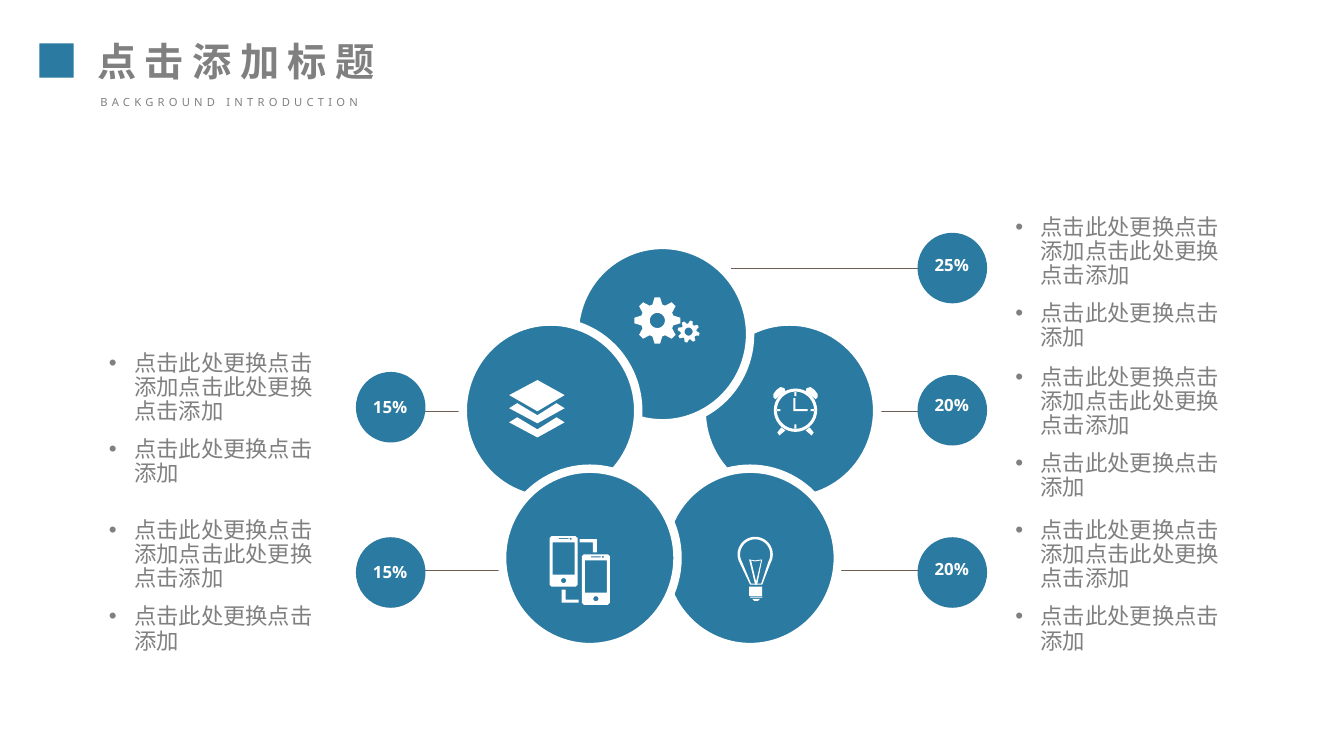
from math import cos, sin, pi, radians
from lxml.etree import SubElement
from pptx import Presentation
from pptx.dml.color import RGBColor
from pptx.enum.shapes import MSO_CONNECTOR as Conn, MSO_SHAPE as Kind
from pptx.enum.text import MSO_ANCHOR as Anchor, PP_ALIGN as Align
from pptx.oxml.ns import qn
from pptx.util import Pt

PX = 9144
BLUE = RGBColor(0x2B, 0x7A, 0xA1)
GRAY = RGBColor(0x80, 0x80, 0x80)
BROWN = RGBColor(0x70, 0x5E, 0x52)
WHITE = RGBColor(0xFF, 0xFF, 0xFF)
FONT = "Noto Sans"
NOTES = ["点击此处更换点击添加点击此处更换点击添加", "点击此处更换点击添加"]


def emu(*sizes):
    return [round(size * PX) for size in sizes]


def text(slide, box, lines, size, color=GRAY, bold=False, track=0,
         align=Align.CENTER, inset=(10, 5), bullet=False):
    frame = slide.shapes.add_textbox(*emu(*box)).text_frame
    frame.word_wrap = True
    frame.vertical_anchor = Anchor.TOP
    frame.margin_left = frame.margin_right = inset[0] * PX
    frame.margin_top = frame.margin_bottom = inset[1] * PX
    for i, line in enumerate(lines):
        para = frame.paragraphs[0] if i == 0 else frame.add_paragraph()
        if bullet:
            props = para._p.get_or_add_pPr()
            props.set("marL", str(25 * PX))
            props.set("indent", str(-25 * PX))
            SubElement(props, qn("a:buFont")).set("typeface", "Arial")
            SubElement(props, qn("a:buChar")).set("char", "•")
            para.line_spacing = 0.9
            para.space_before = Pt(10 if i else 0)
        para.alignment = align
        run = para.add_run()
        run.text = line
        font = run.font
        font.size, font.bold, font.name = Pt(size), bold, FONT
        font.color.rgb = color
        mark = run._r.get_or_add_rPr()
        SubElement(mark, qn("a:ea")).set("typeface", FONT)
        if track:
            mark.set("spc", str(track * 100))


def paint(shape, fill, edge=0):
    shape.shadow.inherit = False
    shape.fill.solid()
    shape.fill.fore_color.rgb = fill
    if edge:
        shape.line.color.rgb = WHITE
        shape.line.width = Pt(edge)
    else:
        shape.line.fill.background()


def solid(slide, kind, box, edge=0):
    paint(slide.shapes.add_shape(kind, *emu(*box)), BLUE, edge)


def rule(slide, x, end, y):
    line = slide.shapes.add_connector(Conn.STRAIGHT, *emu(x, y, end, y))
    line.line.color.rgb = BROWN
    line.line.width = Pt(0.5)
    SubElement(line._element.spPr, qn("a:effectLst"))


def glyph(slide, x, y, *loops):
    loops = [[emu(x + a, y + b) for a, b in loop] for loop in loops]
    pen = slide.shapes.build_freeform(*loops[0][0])
    for i, loop in enumerate(loops):
        if i:
            pen.move_to(*loop[0])
        pen.add_line_segments(loop[1:], close=True)
    paint(pen.convert_to_shape(), WHITE)


def arc(x, y, r, start=0, end=360, step=10):
    return [(x + r * cos(radians(a)), y + r * sin(radians(a)))
            for a in range(start, end + 1, step)]


def rect(x, y, w, h, cut=0):
    return [(x + cut, y), (x + w - cut, y), (x + w, y + cut),
            (x + w, y + h - cut), (x + w - cut, y + h), (x + cut, y + h),
            (x, y + h - cut), (x, y + cut)]


def cog(x, y, r, turn):
    teeth = [(-0.3, 0.72), (-0.12, 1), (0.12, 1), (0.3, 0.72)]
    return [(x + r * k * cos(i * pi / 4 + turn + a),
             y + r * k * sin(i * pi / 4 + turn + a))
            for i in range(8) for a, k in teeth]


def gears(slide, x, y):
    for cx, cy, r, hole, turn in [(23, 23, 23, 7.5, 0), (54, 34, 11, 4, 0.25)]:
        glyph(slide, x, y, cog(cx, cy, r, turn), arc(cx, cy, hole))


def phones(slide, x, y):
    for dx, dy in [(0, 0), (32, 18)]:
        glyph(slide, x + dx, y + dy, rect(0, 0, 28, 50, 2),
              rect(3, 6, 22, 32), rect(9, 2, 10, 1),
              arc(14, 44, 2.5), arc(21, 2.5, 1))
    hook = [(0, 0), (17, 0), (17, 13), (13, 13), (13, 3), (0, 3)]
    glyph(slide, x + 30, y + 3, hook)
    glyph(slide, x + 15, y + 53, [(14 - a, 13 - b) for a, b in hook])


def bulb(slide, x, y):
    outer = arc(17, 17, 17.5, 150, 390) + [(24, 47), (12, 47)]
    inner = arc(17, 17, 15, 150, 390) + [(23, 46), (13, 46)]
    glyph(slide, x, y, outer, inner)
    glyph(slide, x, y, rect(11, 49, 13, 9))
    glyph(slide, x, y, rect(12, 59, 12, 1))
    glyph(slide, x, y, [(14, 61), (22, 61), (20, 63), (16, 63)])
    glyph(slide, x, y,
          [(11, 22), (17, 23), (24, 22), (19, 47), (17, 47)],
          [(13, 23), (17, 24), (23, 23), (18, 44)])


def clock(slide, x, y):
    glyph(slide, x, y, arc(22, 23, 21.5), arc(22, 23, 18.5),
          rect(3, 22, 4, 2), rect(37, 22, 4, 2),
          rect(21, 5, 2, 4), rect(21, 37, 2, 4))
    ear = [(2, 12), (0, 10), (0, 7), (3, 3), (7, 0), (11, 1), (12, 4)]
    foot = [(8, 40), (4, 45), (6, 48), (12, 43)]
    for part in (ear, foot):
        glyph(slide, x, y, part)
        glyph(slide, x, y, [(44 - a, b) for a, b in part])
    glyph(slide, x, y, [(20, 11), (22, 11), (22, 22), (34, 22),
                        (34, 24), (20, 24)])


def layers(slide, x, y):
    glyph(slide, x, y, [(55, 15), (28, 0), (0, 15), (28, 31)])
    fold = [(28, 12), (8, 0), (0, 5), (28, 20), (55, 5), (47, 0)]
    for dy in (23, 37):
        glyph(slide, x, y + dy, fold)


def head(slide, x, y):
    solid(slide, Kind.RECTANGLE, (x, y + 11, 34, 34))
    text(slide, (x + 30, y, 330, 57), ["点击添加标题"], 28, bold=True, track=6)
    text(slide, (x + 30, y + 58, 317, 24), ["BACKGROUND INTRODUCTION"], 8,
         track=3)


def wheel(slide, x, y):
    for dx, dy in [(237, 76), (111, 0), (0, 76), (198, 222), (39, 222)]:
        solid(slide, Kind.OVAL, (x + dx, y + dy, 174, 177), edge=6)
    for icon, dx, dy in [(gears, 170, 52), (phones, 86, 289), (bulb, 273, 290),
                         (clock, 308, 141), (layers, 46, 134)]:
        icon(slide, x + dx, y + dy)


def entry(slide, x, y, label, drop, note, top):
    solid(slide, Kind.OVAL, (x, y, 69, 70))
    text(slide, (x + 7, y + drop, 54, 25), [label], 12, color=WHITE,
         bold=True, inset=(5, 2))
    text(slide, (note, y + top, 234, 140), NOTES, 16, align=Align.LEFT,
         inset=(5, 2), bullet=True)


def main():
    deck = Presentation()
    deck.slide_width, deck.slide_height = emu(1333, 750)
    slide = deck.slides.add_slide(deck.slide_layouts[6])
    head(slide, 39, 32)
    for x, end, y in [(373, 471, 408), (373, 505, 566), (725, 959, 266),
                      (861, 959, 408), (822, 959, 566)]:
        rule(slide, x, end, y)
    wheel(slide, 459, 243)
    left, right = (353, 103), (910, 1002)
    for (x, note), y, label, drop, top in [
            (left, 369, "15%", 23, -22), (left, 533, "15%", 22, -20),
            (right, 231, "25%", 20, -19), (right, 372, "20%", 18, -11),
            (right, 533, "20%", 19, -20)]:
        entry(slide, x, y, label, drop, note, top)
    deck.save("out.pptx")


if __name__ == "__main__":
    main()
